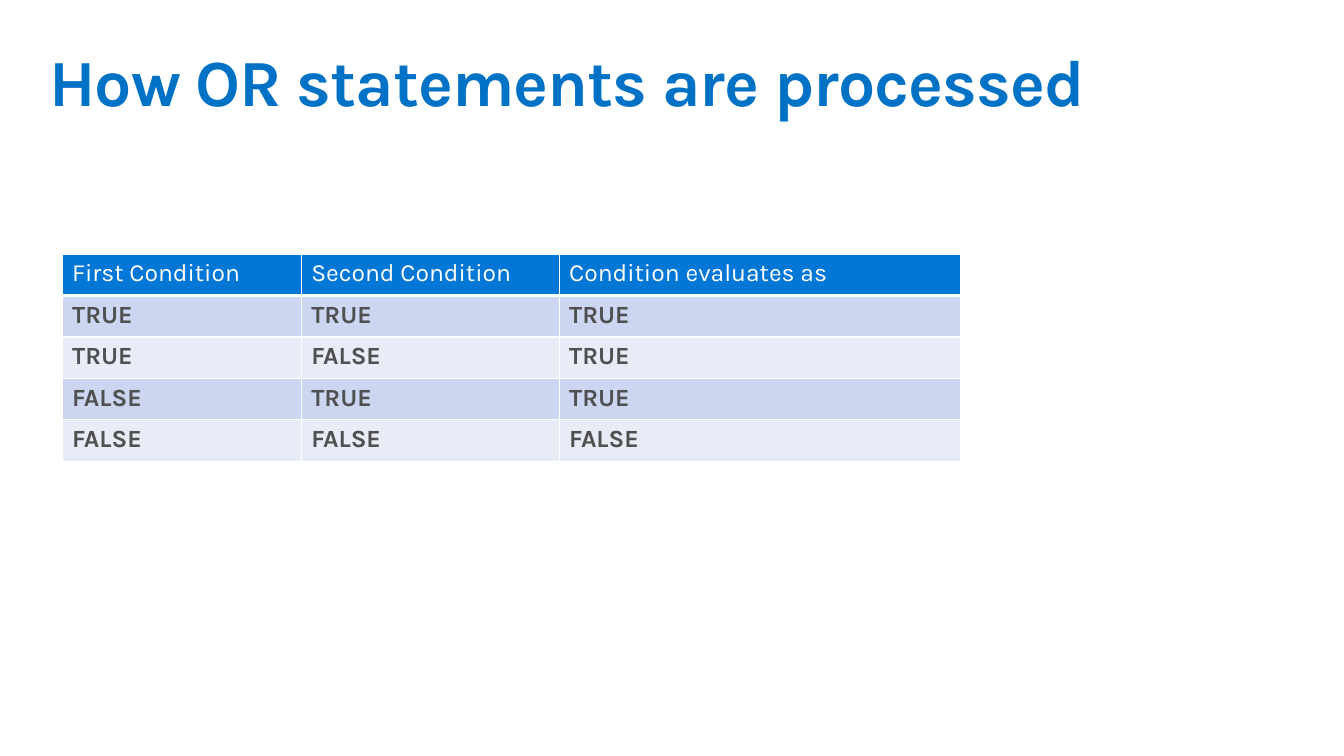
import dataclasses

import lxml.etree
import pptx
import pptx.dml.color
import pptx.enum.text
import pptx.oxml.ns
import pptx.util

Inches = pptx.util.Inches


@dataclasses.dataclass(frozen=True)
class Theme:
    font: str = "Karla"
    title_size: float = 48
    table_size: float = 18
    title_color: str = "0072C6"
    header_fill: str = "0377D6"
    row_fills: tuple = ("CCD6F0", "E7ECF7")
    header_text: str = "FFFFFF"
    body_text: str = "505050"
    border: str = "FFFFFF"
    border_width: float = 1
    header_rule_width: float = 3


def rgb(color):
    return pptx.dml.color.RGBColor.from_string(color)


def write_text(text_frame, text, *, font, size, color, bold=False,
               tracking=None, line_spacing=None):
    """Write one formatted run; tracking is in points."""
    paragraph = text_frame.paragraphs[0]
    paragraph.alignment = pptx.enum.text.PP_ALIGN.LEFT
    if line_spacing is not None:
        paragraph.line_spacing = line_spacing
    run = paragraph.add_run()
    run.text = text
    run.font.name = font
    run.font.size = pptx.util.Pt(size)
    run.font.bold = bold
    run.font.color.rgb = rgb(color)
    if tracking is not None:
        run.font._element.set("spc", str(round(tracking * 100)))


def set_borders(cell, color, widths):
    """Draw cell edges; widths maps L, R, T and B to points."""
    qn = pptx.oxml.ns.qn
    properties = cell._tc.get_or_add_tcPr()
    for index, side in enumerate("LRTB"):
        line = lxml.etree.Element(
            qn(f"a:ln{side}"), w=str(pptx.util.Pt(widths[side])))
        fill = lxml.etree.SubElement(line, qn("a:solidFill"))
        lxml.etree.SubElement(fill, qn("a:srgbClr"), val=color)
        properties.insert(index, line)


class SlideBuilder:
    def __init__(self, presentation, theme):
        self.theme = theme
        self.slide = presentation.slides.add_slide(presentation.slide_layouts[5])

    def title(self, text, left, top, width, height):
        title = self.slide.shapes.title
        title.left, title.top = Inches(left), Inches(top)
        title.width, title.height = Inches(width), Inches(height)
        frame = title.text_frame
        frame.word_wrap = True
        frame.auto_size = pptx.enum.text.MSO_AUTO_SIZE.NONE
        frame.vertical_anchor = pptx.enum.text.MSO_ANCHOR.TOP
        frame.margin_left = frame.margin_right = Inches(0.1)
        frame.margin_top = frame.margin_bottom = Inches(0.1)
        write_text(frame, text, font=self.theme.font, size=self.theme.title_size,
                   color=self.theme.title_color, bold=True, tracking=-0.7,
                   line_spacing=0.9)

    def table(self, rows, left, top, column_widths, row_height):
        shape = self.slide.shapes.add_table(
            len(rows), len(column_widths), Inches(left), Inches(top),
            Inches(sum(column_widths)), Inches(row_height * len(rows)))
        table = shape.table
        for column, width in zip(table.columns, column_widths):
            column.width = Inches(width)
        for row_index, values in enumerate(rows):
            table.rows[row_index].height = Inches(row_height)
            for column_index, value in enumerate(values):
                self.cell(table.cell(row_index, column_index), value, row_index)

    def cell(self, cell, text, row_index):
        theme = self.theme
        is_header = row_index == 0
        cell.fill.solid()
        cell.fill.fore_color.rgb = rgb(
            theme.header_fill if is_header else theme.row_fills[(row_index - 1) % 2])
        widths = dict.fromkeys("LRTB", theme.border_width)
        if is_header:
            widths["B"] = theme.header_rule_width
        set_borders(cell, theme.border, widths)
        write_text(cell.text_frame, text, font=theme.font, size=theme.table_size,
                   color=theme.header_text if is_header else theme.body_text,
                   bold=not is_header)


def main():
    presentation = pptx.Presentation()
    presentation.slide_width = Inches(13.6)
    presentation.slide_height = Inches(7.65)

    builder = SlideBuilder(presentation, Theme())
    builder.title("How OR statements are processed", 0.4, 0.4, 12.8, 1)

    truth_table = [("First Condition", "Second Condition", "Condition evaluates as")]
    for first in (True, False):
        for second in (True, False):
            truth_table.append(
                [str(value).upper() for value in (first, second, first or second)])
    builder.table(truth_table, left=0.63, top=2.57,
                  column_widths=(2.42, 2.61, 4.06), row_height=0.42)

    presentation.save("out.pptx")


if __name__ == "__main__":
    main()
